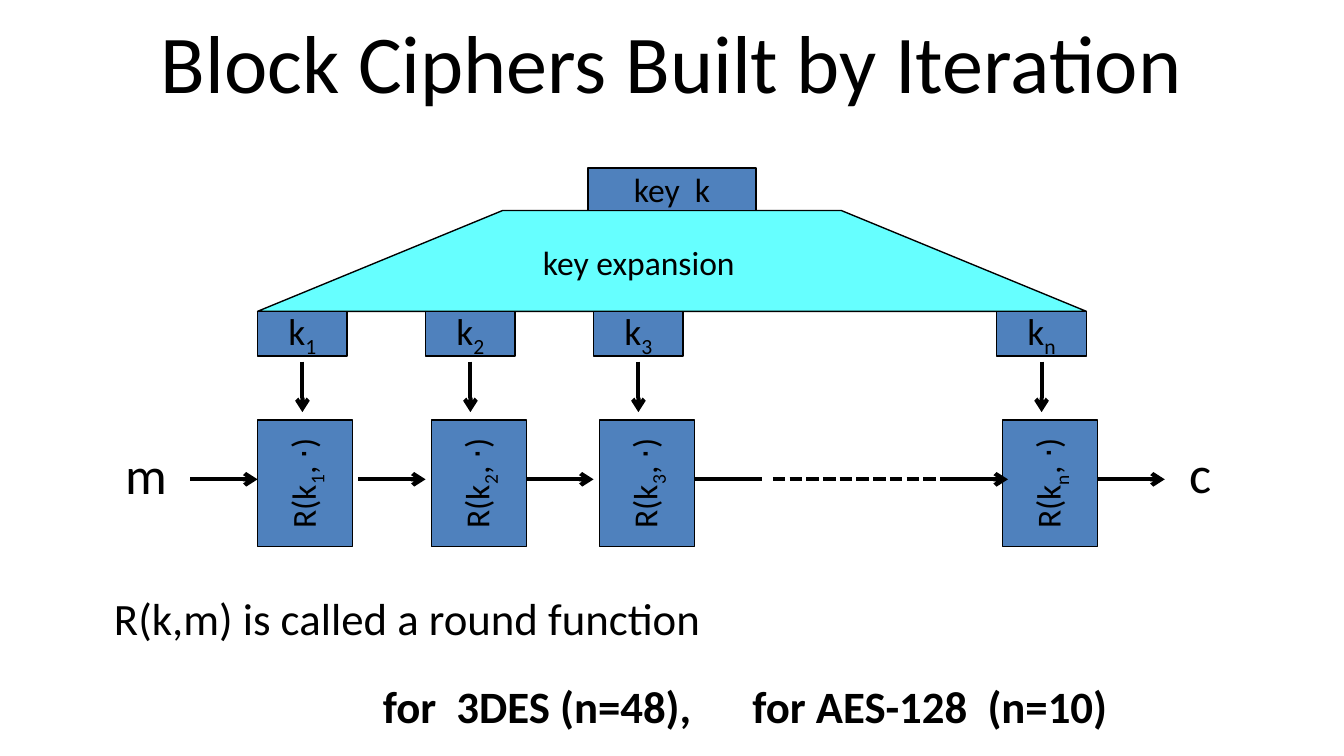
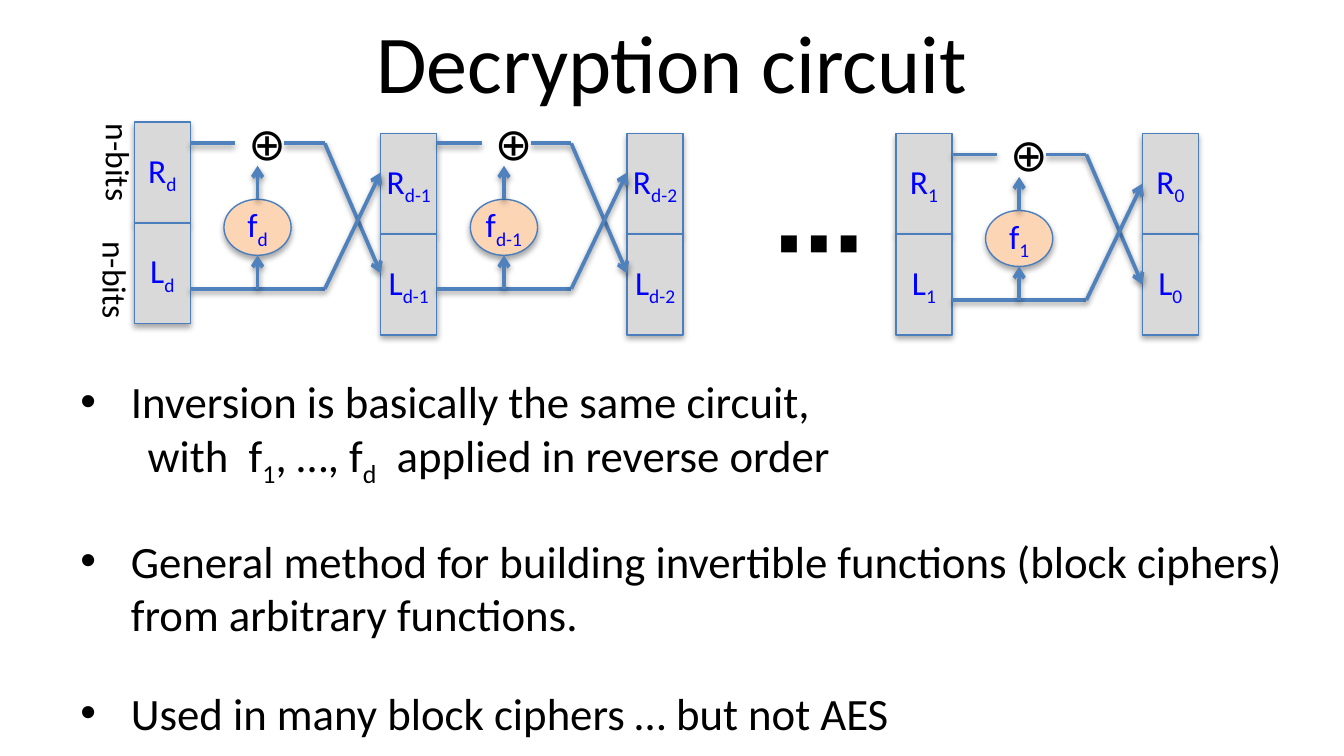
from dataclasses import dataclass

from lxml import etree
from pptx import Presentation
from pptx.dml.color import RGBColor
from pptx.enum.dml import MSO_LINE_DASH_STYLE as Dash
from pptx.enum.shapes import MSO_CONNECTOR as Conn, MSO_SHAPE as Geo
from pptx.enum.text import MSO_ANCHOR as Anchor, PP_ALIGN as Align
from pptx.oxml.ns import qn
from pptx.util import Emu, Pt


@dataclass(frozen=True)
class Theme:
    font: str = "Calibri"
    black: str = "000000"
    white: str = "FFFFFF"
    blue: str = "4F81BD"
    edge: str = "4B7EBC"
    cyan: str = "66FFFF"
    gray: str = "D9D9D9"
    peach: str = "FCD5B5"
    ink: str = "0000FF"
    title: int = 44
    body: int = 24
    symbol: int = 28
    key: int = 20
    label: int = 18
    dots: int = 48


T = Theme()
W, H = 1200, 675


def px(n):
    return Emu(int(n * 7620))


def rgb(code):
    return RGBColor.from_string(code)


# Text and shape helpers
def write(p, text, size, color=T.black, bold=False):
    """Add runs to p; every second part between underscores is a subscript."""
    for i, part in enumerate(text.split("_")):
        if not part:
            continue
        r = p.add_run()
        r.text = part
        r.font.name, r.font.size, r.font.bold = T.font, Pt(size), bold
        r.font.color.rgb = rgb(color)
        if i % 2:
            r._r.get_or_add_rPr().set("baseline", "-25000")


def text_box(s, x, y, w, h, wrap=True):
    sp = s.shapes.add_textbox(px(x), px(y), px(w), px(h))
    sp.text_frame.word_wrap = wrap
    return sp


def label(s, x, y, w, h, text, size, bold=False, rotation=0):
    sp = text_box(s, x, y, w, h, wrap=False)
    sp.rotation = rotation
    write(sp.text_frame.paragraphs[0], text, size, bold=bold)


def add_shadow(effects, dist, alpha):
    shadow = etree.SubElement(effects, qn("a:outerShdw"), blurRad="40000",
                              dist=str(dist), dir="5400000", rotWithShape="0")
    color = etree.SubElement(shadow, qn("a:srgbClr"), val=T.black)
    etree.SubElement(color, qn("a:alpha"), val=str(alpha))


def shape(s, geo, x, y, w, h, fill, edge=T.black, shadow=False):
    sp = s.shapes.add_shape(geo, px(x), px(y), px(w), px(h))
    sp.fill.solid()
    sp.fill.fore_color.rgb = rgb(fill)
    sp.line.color.rgb = rgb(edge)
    sp.line.width = Pt(0.75)
    sp.shadow.inherit = False
    if shadow:
        add_shadow(sp._element.spPr.find(qn("a:effectLst")), 23000, 35000)
    return sp


def caption(sp, text, size, color=T.black, side=None):
    tf = sp.text_frame
    tf.word_wrap = True
    tf.vertical_anchor = Anchor.MIDDLE
    if side is not None:
        tf.margin_left = tf.margin_right = side
    p = tf.paragraphs[0]
    p.alignment = Align.CENTER
    write(p, text, size, color)


def line(s, x1, y1, x2, y2, color=T.black, width=2.25, arrow=True,
         dash=None, shadow=False):
    c = s.shapes.add_connector(Conn.STRAIGHT, px(x1), px(y1), px(x2), px(y2))
    c.line.color.rgb = rgb(color)
    c.line.width = Pt(width)
    if dash:
        c.line.dash_style = dash
    if arrow:
        etree.SubElement(c.line._get_or_add_ln(), qn("a:tailEnd"), type="arrow")
    effects = etree.SubElement(c._element.spPr, qn("a:effectLst"))
    if shadow:
        add_shadow(effects, 20000, 38000)
    return c


def new_slide(prs, title):
    s = prs.slides.add_slide(prs.slide_layouts[6])
    s.background.fill.solid()
    s.background.fill.fore_color.rgb = rgb(T.white)
    caption(text_box(s, 60, -2, 1080, 113), title, T.title)
    return s


# Slide 1: iterated rounds
def key_schedule(s, x, y, w):
    band = shape(s, Geo.TRAPEZOID, x, y + 38, w, 90, T.cyan)
    band.adjustments[0] = 2.43
    key = shape(s, Geo.RECTANGLE, x + w / 2 - 75, y, 150, 38, T.blue)
    caption(key, "key  k", T.label)
    label(s, x + 243, y + 60, 199, 48, "key expansion", T.label)


def round_column(s, x, y, index, shift):
    key = shape(s, Geo.RECTANGLE, x, y, 80, 40, T.blue)
    caption(key, f"k_{index}", T.key)
    line(s, x + 40, y + 45, x + 40, y + 90)
    # The box is turned a quarter left, so its width runs upward
    box = shape(s, Geo.RECTANGLE, x + shift - 14, y + 111, 113, 85, T.blue)
    box.rotation = 270
    caption(box, f"R(k_{index}_, ⋅)", T.label)


def message_flow(s, x, y):
    label(s, x, y - 39, 62, 68, "m", T.symbol)
    for dx in (70, 220, 370, 740, 880):
        line(s, x + dx, y, x + dx + 60, y)
    line(s, x + 520, y, x + 580, y, arrow=False)
    line(s, x + 590, y, x + 740, y, arrow=False, dash=Dash.SQUARE_DOT)
    label(s, x + 950, y - 40, 50, 68, "c", T.symbol)


def round_notes(s, x, y, w, h):
    tf = text_box(s, x, y, w, h).text_frame
    write(tf.paragraphs[0], "R(k,m) is called a round function", T.body)
    p = tf.add_paragraph()
    tabs = etree.SubElement(p._p.get_or_add_pPr(), qn("a:tabLst"))
    for stop in (240, 570):
        etree.SubElement(tabs, qn("a:tab"), pos=str(px(stop)), algn="l")
    p.space_before = Pt(18.2)
    write(p, "\tfor  3DES (n=48),\tfor AES-128  (n=10)", T.body, bold=True)


def iteration_slide(prs):
    s = new_slide(prs, "Block Ciphers Built by Iteration")
    round_notes(s, 90, 522, 1070, 134)
    key_schedule(s, 230, 150, 740)
    for x, index, shift in ((230, "1", 0), (380, "2", 5),
                            (530, "3", 5), (890, "n", 5)):
        round_column(s, x, 278, index, shift)
    message_flow(s, 100, 428)


# Slide 2: decryption network
def half_blocks(s, x, y, index):
    halves = []
    for i, name in enumerate("RL"):
        sp = shape(s, Geo.RECTANGLE, x, y + 90 * i, 50, 90, T.gray, T.edge, True)
        caption(sp, f"{name}_{index}", T.label, T.ink, 0)
        halves.append(sp)
    return halves


def feistel_round(s, x, y, index, target):
    def wire(x1, y1, x2, y2, arrow=False):
        return line(s, x + x1, y + y1, x + x2, y + y2, T.blue, 2, arrow,
                    shadow=True)

    right, left = target
    label(s, x + 40, y - 31, 44, 60, "⊕", T.body)
    wire(0, 130, 120, 130)
    wire(0, 0, 40, 0)
    wire(84, 0, 120, 0)
    # Crossing wires
    for start, end, half in ((0, 116, left), (130, 26, right)):
        c = wire(120, start, 170, end, True)
        if px(y + end) == half.top + half.height // 2:
            c.end_connect(half, 1)
    # Round function
    sp = shape(s, Geo.OVAL, x + 30, y + 50, 60, 50, T.peach, T.edge, True)
    caption(sp, f"f_{index}", T.label, T.ink, 0)
    wire(60, 130, 60, 100, True)
    wire(60, 50, 60, 20, True)


def bullet_list(s, x, y, w, h, items):
    tf = text_box(s, x, y, w, h).text_frame
    for i, lines in enumerate(items):
        p = tf.add_paragraph() if i else tf.paragraphs[0]
        pPr = p._p.get_or_add_pPr()
        pPr.set("marL", str(px(45)))
        pPr.set("indent", str(-px(45)))
        etree.SubElement(pPr, qn("a:buFont"), typeface="Arial")
        etree.SubElement(pPr, qn("a:buChar"), char="•")
        if i:
            p.space_before = Pt(23.8)
        for j, text in enumerate(lines):
            if j:
                p.add_line_break()
            write(p, text, T.body)


def decryption_slide(prs):
    s = new_slide(prs, "Decryption circuit")
    bullet_list(s, 60, 328, 1120, 347, (
        ("Inversion is basically the same circuit, ",
         "\twith  f_1_, …, f_d_  applied in reverse order"),
        ("General method for building invertible functions (block ciphers) "
         "from arbitrary functions.",),
        ("Used in many block ciphers … but not AES",)))
    columns = [half_blocks(s, x, y, index) for x, y, index in (
        (120, 109, "d"), (340, 119, "d-1"), (560, 119, "d-2"),
        (800, 119, "1"), (1020, 119, "0"))]
    for x, y in ((59, 122), (56, 227)):
        label(s, x, y, 95, 48, "n-bits", T.label, rotation=90)
    for x, y, index, target in ((170, 128, "d", 1), (390, 128, "d-1", 2),
                                (850, 138, "1", 4)):
        feistel_round(s, x, y, index, columns[target])
    label(s, 680, 160, 65, 109, "⋯", T.dots, bold=True)


def main():
    prs = Presentation()
    prs.slide_width, prs.slide_height = px(W), px(H)
    iteration_slide(prs)
    decryption_slide(prs)
    prs.save("out.pptx")


if __name__ == "__main__":
    main()
